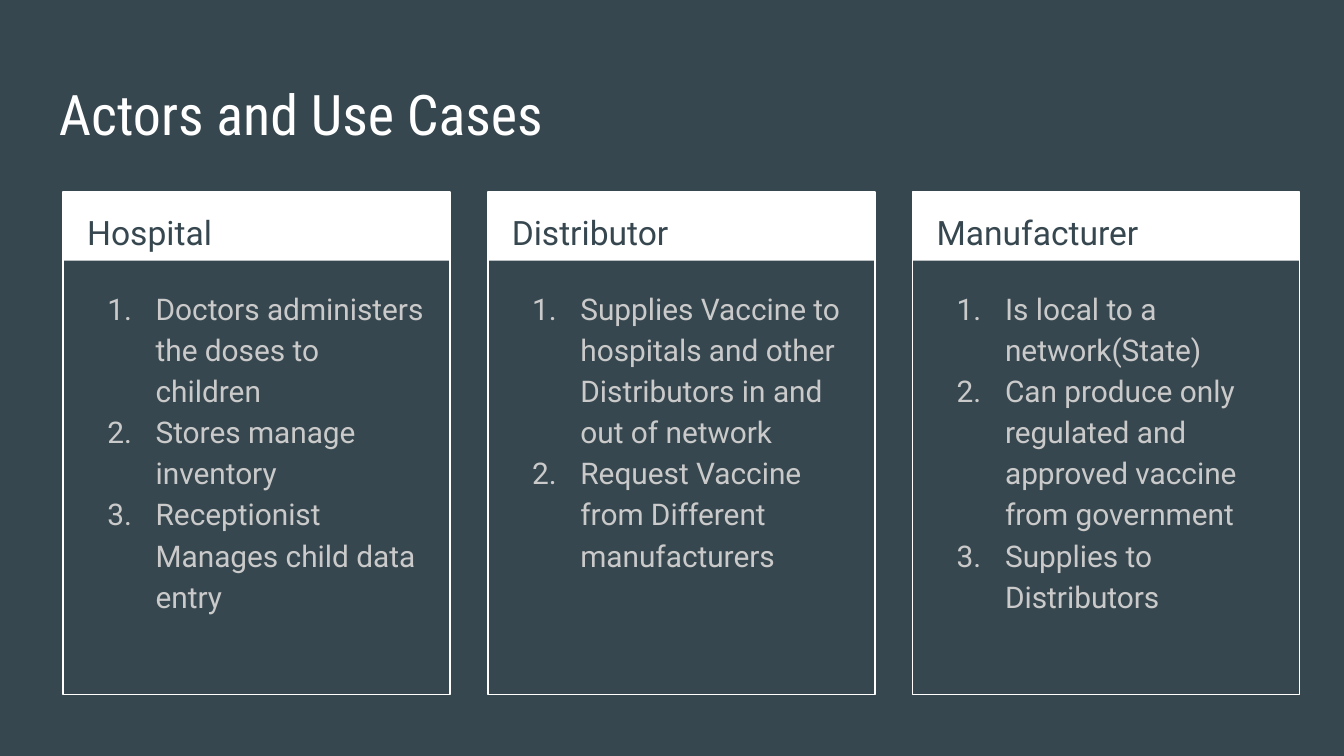
from lxml import etree
from pptx import Presentation
from pptx import util as u
from pptx.dml.color import RGBColor
from pptx.enum import shapes, text
from pptx.oxml import ns

TITLE = "Actors and Use Cases"
ACTORS = [
    ("Hospital", [
        "Doctors administers the doses to children",
        "Stores manage inventory",
        "Receptionist Manages child data entry",
    ]),
    ("Distributor", [
        "Supplies Vaccine to hospitals and other Distributors in and out of network",
        "Request Vaccine from Different manufacturers",
    ]),
    ("Manufacturer", [
        "Is local to a network(State)",
        "Can produce only regulated and approved vaccine from government",
        "Supplies to Distributors",
    ]),
]
SLATE, WHITE, GREY = "37474F", "FFFFFF", "CACACA"
TITLE_FONT = {"name": "Roboto Condensed", "size": u.Pt(30)}
HEADING_FONT = {"name": "Roboto", "size": u.Pt(18)}
ITEM_FONT = {"name": "Roboto", "size": u.Pt(16)}
LEFT, TOP, STEP = 0.47, 1.43, 3.16
CARD_WIDTH, CARD_HEIGHT, HEADER_HEIGHT = 2.88, 3.74, 0.51


def color(value):
    return RGBColor.from_string(value)


def add_rect(page, *place, fill=None, line=None):
    box = page.shapes.add_shape(
        shapes.MSO_SHAPE.RECTANGLE, *[u.Inches(length) for length in place])
    box.shadow.inherit = False
    if fill:
        box.fill.solid()
        box.fill.fore_color.rgb = color(fill)
    else:
        box.fill.background()
    if line:
        box.line.color.rgb = color(line)
        box.line.width = u.Pt(0.75)
    else:
        box.line.fill.background()


def add_text(page, lines, *place, font, ink, spacing=1.15):
    box = page.shapes.add_textbox(*[u.Inches(length) for length in place])
    frame = box.text_frame
    frame_format = {"word_wrap": True, "vertical_anchor": text.MSO_ANCHOR.TOP}
    for side in ("left", "top", "right", "bottom"):
        frame_format[f"margin_{side}"] = u.Inches(0.1)
    for name, value in frame_format.items():
        setattr(frame, name, value)
    for index, line in enumerate(lines):
        para = frame.add_paragraph() if index else frame.paragraphs[0]
        para.line_spacing = spacing
        span = para.add_run()
        span.text = line
        for name, value in font.items():
            setattr(span.font, name, value)
        span.font.color.rgb = color(ink)
    return frame.paragraphs


def number(para, ink):
    props = para._p.get_or_add_pPr()
    props.set("marL", str(u.Inches(0.5)))
    props.set("indent", str(u.Inches(-0.36)))
    bullet_color = etree.SubElement(props, ns.qn("a:buClr"))
    etree.SubElement(bullet_color, ns.qn("a:srgbClr"), val=ink)
    etree.SubElement(props, ns.qn("a:buFont"), typeface="Roboto")
    etree.SubElement(props, ns.qn("a:buAutoNum"), type="arabicPeriod")


def add_card(page, left, heading, items):
    add_rect(page, left, TOP, CARD_WIDTH, HEADER_HEIGHT, fill=WHITE)
    add_rect(page, left, TOP, CARD_WIDTH, CARD_HEIGHT, line=WHITE)
    add_text(page, [heading], left + 0.08, TOP, 2.73, 0.5,
             font=HEADING_FONT, ink=SLATE)
    paras = add_text(page, items, left + 0.09, TOP + 0.59, 2.71, 3.06,
                     font=ITEM_FONT, ink=GREY)
    paras[-1].space_after = u.Pt(16)
    for para in paras:
        number(para, GREY)


def main():
    deck = Presentation()
    deck.slide_width = u.Inches(10)
    deck.slide_height = deck.slide_width * 9 // 16
    page = deck.slides.add_slide(deck.slide_layouts[6])
    page.background.fill.solid()
    page.background.fill.fore_color.rgb = color(SLATE)
    add_text(page, [TITLE], 0.34, 0.49, 9.32, 0.63,
             font=TITLE_FONT, ink=WHITE, spacing=1.0)
    for column, (heading, items) in enumerate(ACTORS):
        add_card(page, LEFT + column * STEP, heading, items)
    deck.save("out.pptx")


if __name__ == "__main__":
    main()
